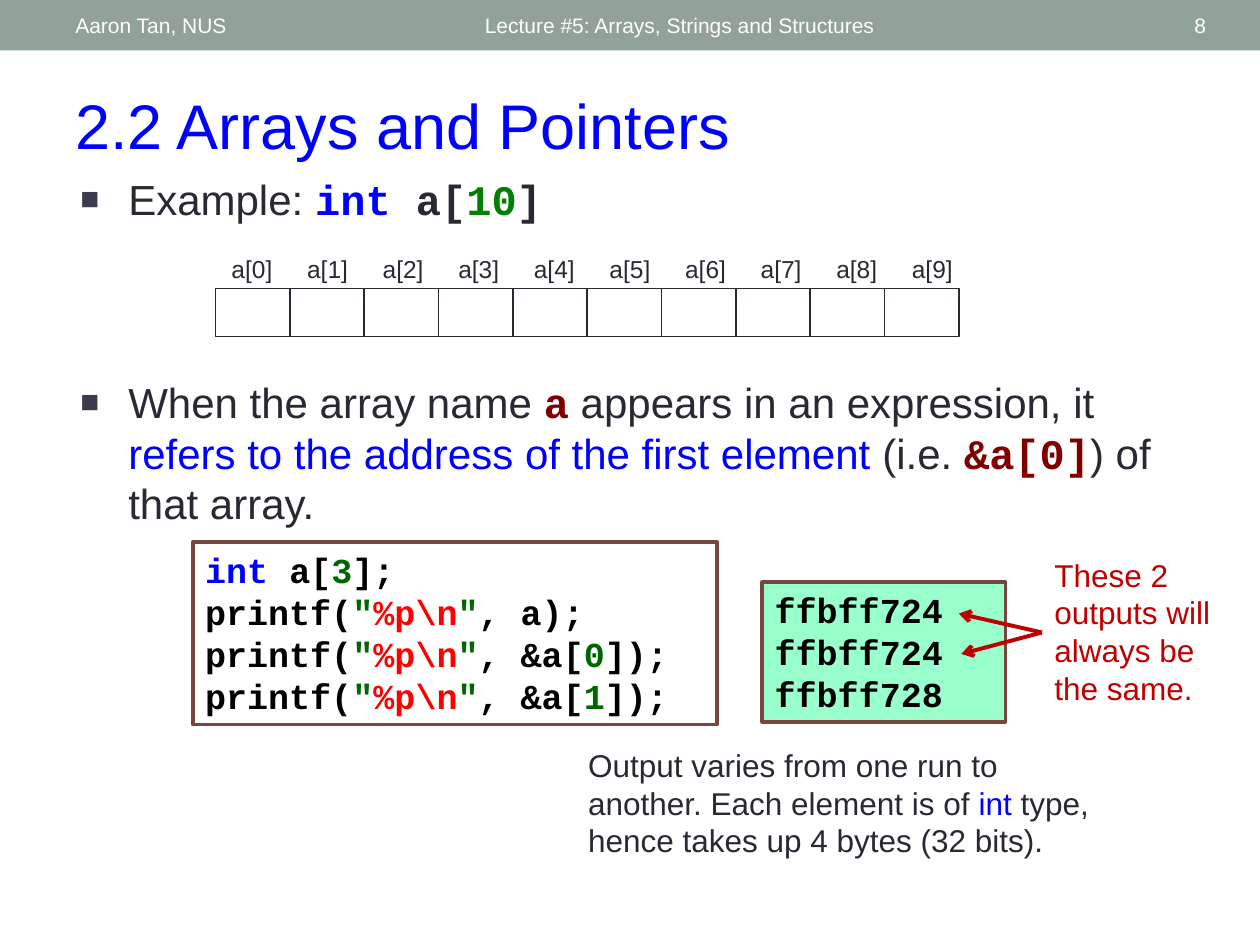
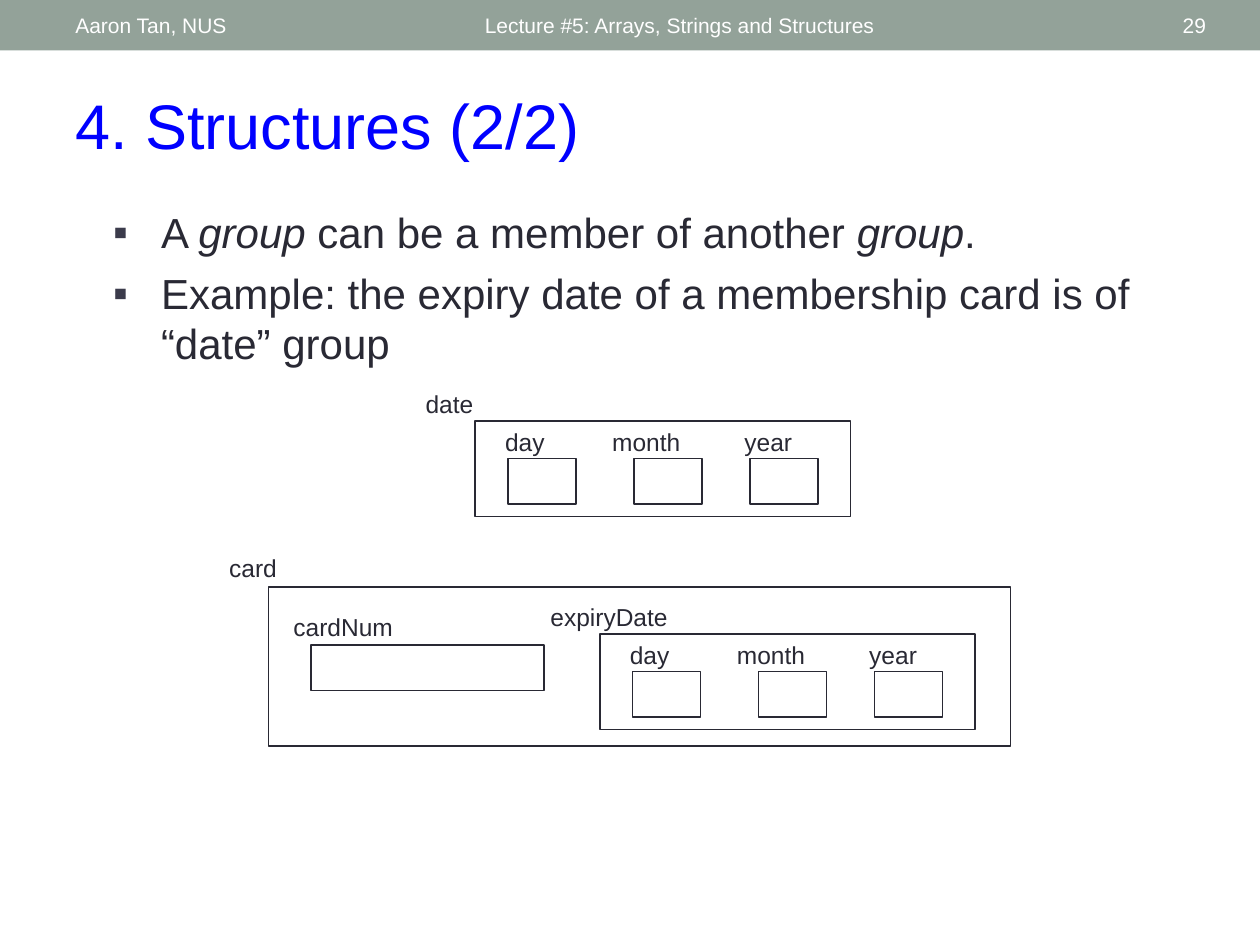
"""Build two lecture slides on arrays, pointers and structures."""
from lxml.etree import SubElement
from pptx import Presentation
from pptx.dml.color import RGBColor
from pptx.enum.shapes import MSO_CONNECTOR, MSO_SHAPE
from pptx.enum.text import MSO_ANCHOR, PP_ALIGN
from pptx.oxml.ns import qn
from pptx.util import Inches, Pt

WHITE = RGBColor(0xFF, 0xFF, 0xFF)
BLACK = RGBColor(0x00, 0x00, 0x00)
SAGE = RGBColor(0x93, 0xA2, 0x99)
INK = RGBColor(0x29, 0x29, 0x34)
BULLET = RGBColor(0x3B, 0x3B, 0x4B)
BLUE = RGBColor(0x00, 0x00, 0xFF)
GREEN = RGBColor(0x00, 0x80, 0x00)
DARK_GREEN = RGBColor(0x00, 0x66, 0x00)
MAROON = RGBColor(0x80, 0x00, 0x00)
RED = RGBColor(0xFF, 0x00, 0x00)
CRIMSON = RGBColor(0xC0, 0x00, 0x00)
BROWN = RGBColor(0x79, 0x46, 0x3D)
MINT = RGBColor(0x99, 0xFF, 0xCC)

CODE = dict(font="Courier New", bold=True)
KEYWORD = dict(color=BLUE)
LITERAL = dict(color=DARK_GREEN)
FORMAT = dict(color=RED)
ITALIC = dict(italic=True)


def add_box(slide, at, fill=None, line=INK, weight=1):
    box = slide.shapes.add_shape(MSO_SHAPE.RECTANGLE, *map(Inches, at))
    box.shadow.inherit = False
    if fill is None:
        box.fill.background()
    else:
        box.fill.solid()
        box.fill.fore_color.rgb = fill
    if line is None:
        box.line.fill.background()
    else:
        box.line.color.rgb = line
        box.line.width = Pt(weight)
    return box


def add_text(slide, at, paragraphs, box=None, size=14, align=PP_ALIGN.LEFT,
             anchor=MSO_ANCHOR.TOP, bullet=None, bullet_size=100, before=0, **base):
    holder = box or slide.shapes.add_textbox(*map(Inches, at))
    frame = holder.text_frame
    frame.word_wrap = True
    frame.vertical_anchor = anchor
    if isinstance(paragraphs, str):
        paragraphs = [[paragraphs]]
    for number, pieces in enumerate(paragraphs):
        paragraph = frame.add_paragraph() if number else frame.paragraphs[0]
        paragraph.alignment = align
        paragraph.space_before = Pt(before)
        if bullet:
            properties = paragraph._p.get_or_add_pPr()
            properties.set("marL", str(Inches(0.38)))
            properties.set("indent", str(-Inches(0.38)))
            color = SubElement(properties, qn("a:buClr"))
            SubElement(color, qn("a:srgbClr"), val=str(BULLET))
            SubElement(properties, qn("a:buSzPct"), val=str(bullet_size * 1000))
            SubElement(properties, qn("a:buFont"), typeface="Arial")
            SubElement(properties, qn("a:buChar"), char=bullet)
        for piece in pieces:
            words, change = (piece, {}) if isinstance(piece, str) else piece
            style = {**base, **change}
            run = paragraph.add_run()
            run.text = words
            run.font.size = Pt(size)
            run.font.name = style.get("font", "Arial")
            run.font.bold = style.get("bold", False)
            run.font.italic = style.get("italic", False)
            run.font.color.rgb = style.get("color", INK)


deck = Presentation()
deck.slide_width = Inches(10)
deck.slide_height = Inches(7.5)

slides = []
for title, page in (("2.2 Arrays and Pointers", "8"), ("4. Structures (2/2)", "29")):
    slide = deck.slides.add_slide(deck.slide_layouts[6])
    slides.append(slide)
    add_box(slide, (0, 0, 10, 0.4), fill=SAGE, line=None)
    for left, width, words, align in (
        (0.5, 3.17, "Aaron Tan, NUS", PP_ALIGN.LEFT),
        (3.75, 4.5, "Lecture #5: Arrays, Strings and Structures", PP_ALIGN.LEFT),
        (8.72, 0.95, page, PP_ALIGN.RIGHT),
    ):
        add_text(slide, (left, 0.02, width, 0.36), words, size=12, align=align,
                 anchor=MSO_ANCHOR.MIDDLE, color=WHITE)
    add_text(slide, (0.5, 0.64, 9, 0.71), title, size=36, color=BLUE)
arrays, structures = slides

declaration = [["Example: ", ("int ", {**CODE, **KEYWORD}), ("a[", CODE),
                ("10", {**CODE, "color": GREEN}), ("]", CODE)]]
array_code = {**CODE, "color": MAROON}
address_rule = [["When the array name ", ("a", array_code),
                 " appears in an expression, it ",
                 ("refers to the address of the first element ", KEYWORD),
                 "(i.e. ", ("&a[0]", array_code), ") of that array."]]
for top, height, point in ((1.33, 0.73, declaration), (2.94, 1.33, address_rule)):
    add_text(arrays, (0.54, top, 8.89, height), point, size=24,
             bullet="■", bullet_size=75, before=12)

for index in range(10):
    add_text(arrays, (1.73 + 0.6 * index, 1.97, 0.54, 0.34), f"a[{index}]",
             align=PP_ALIGN.CENTER)
    add_box(arrays, (1.71 + 0.59 * index, 2.29, 0.59, 0.38))

program = [[("int", KEYWORD), " a[", ("3", LITERAL), "];"]]
print_start = ["printf(", ('"', LITERAL), ("%p\\n", FORMAT), ('"', LITERAL)]
program.append(print_start + [", a);"])
for index in "01":
    program.append(print_start + [", &a[", (index, LITERAL), "]);"])
output = [["ffbff724"], ["ffbff724"], ["ffbff728"]]
for at, fill, lines in (
    ((1.53, 4.3, 4.16, 1.45), WHITE, program),
    ((6.05, 4.62, 1.93, 1.11), MINT, output),
):
    panel = add_box(arrays, at, fill=fill, line=BROWN, weight=2.08)
    add_text(arrays, at, lines, box=panel, size=20, color=BLACK, **CODE)

add_text(arrays, (4.57, 5.87, 4.34, 1.01),
         [["Output varies from one run to another. Each element is of ",
           ("int ", KEYWORD), "type, hence takes up 4 bytes (32 bits)."]], size=18)
for tip in ((7.61, 4.87), (7.63, 5.19)):
    arrow = arrays.shapes.add_connector(
        MSO_CONNECTOR.STRAIGHT, *map(Inches, (8.27, 5.02, *tip)))
    arrow.line.color.rgb = CRIMSON
    arrow.line.width = Pt(2.25)
    SubElement(arrow.line._get_or_add_ln(), qn("a:tailEnd"), type="arrow")
    SubElement(arrow._element.spPr, qn("a:effectLst"))
add_text(arrays, (8.27, 4.36, 1.45, 1.31),
         "These 2 outputs will always be the same.", size=18, color=CRIMSON)

add_text(structures, (0.8, 1.59, 8.57, 1.49),
         [["A ", ("group ", ITALIC), "can be a member of another ", ("group", ITALIC), "."],
          ["Example: the expiry date of a membership card is of “date” group"]],
         size=24, bullet="▪", before=6)

add_box(structures, (2.13, 4.66, 5.89, 1.26))
add_text(structures, (1.72, 4.34, 1.95, 0.34), "card")
add_box(structures, (2.47, 5.12, 1.85, 0.36))
add_text(structures, (2.23, 4.81, 1.05, 0.34), "cardNum")

for name, left, top in (("date", 3.77, 3.34), ("expiryDate", 4.76, 5.03)):
    add_box(structures, (left, top, 2.98, 0.76))
    add_text(structures, (left - 0.49, top - 0.3, 1.44, 0.34), name)
    for member, label_shift, box_shift in (
        ("day", 0.14, 0.26), ("month", 0.99, 1.26), ("year", 2.04, 2.18),
    ):
        add_text(structures, (left + label_shift, top, 0.81, 0.34), member)
        add_box(structures, (left + box_shift, top + 0.3, 0.54, 0.36))

deck.save("out.pptx")
